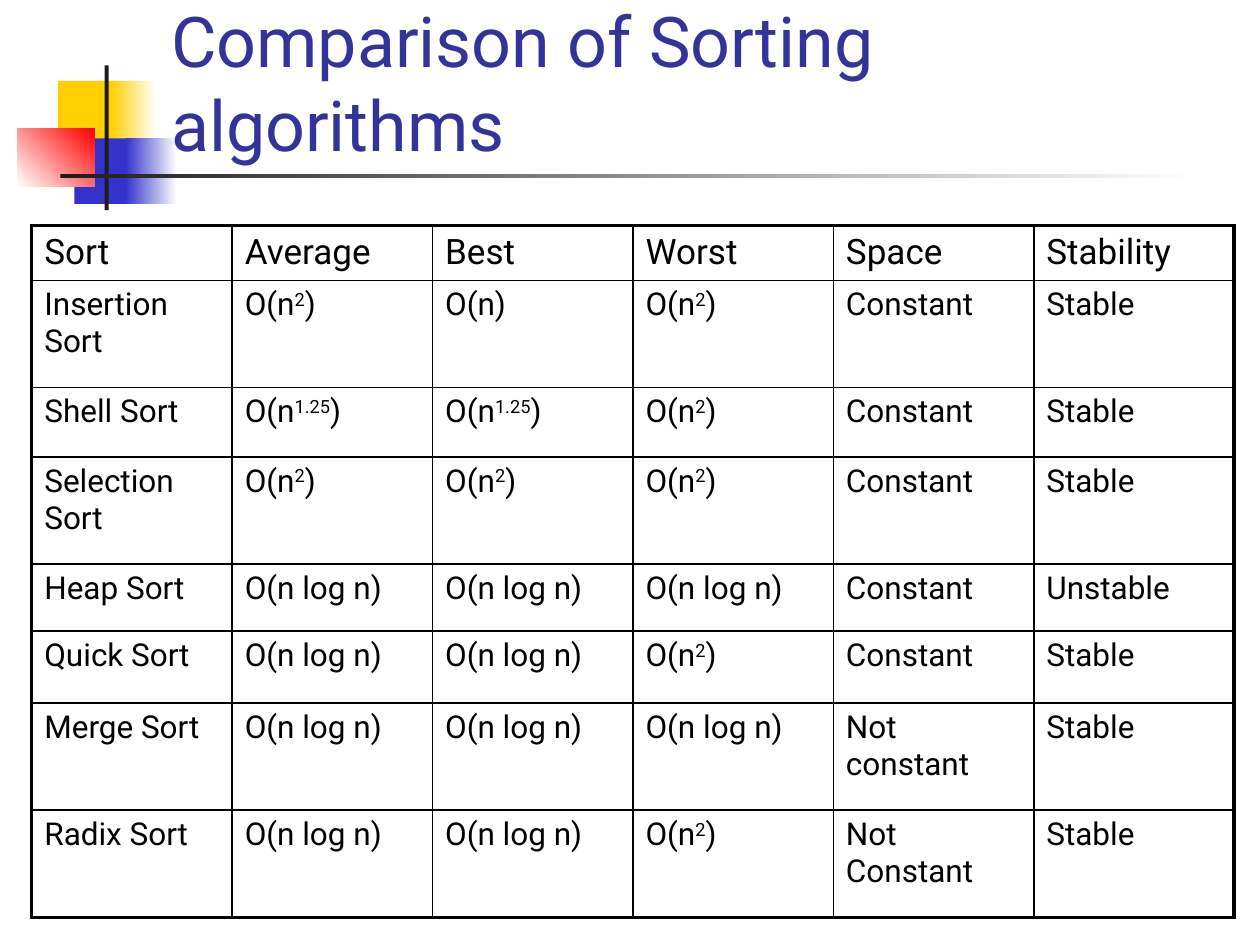
from lxml import etree
from pptx import Presentation
from pptx.dml.color import RGBColor
from pptx.enum.shapes import MSO_SHAPE
from pptx.enum.text import MSO_ANCHOR
from pptx.oxml.ns import qn
from pptx.util import Cm, Pt

RECTANGLE = MSO_SHAPE.RECTANGLE
BOTTOM = MSO_ANCHOR.BOTTOM

YELLOW = RGBColor(0xFF, 0xCF, 0x01)
BLUE = RGBColor(0x33, 0x33, 0xCC)
RED = RGBColor(0xFF, 0x00, 0x00)
CHARCOAL = RGBColor(0x1C, 0x1C, 0x1C)
WHITE = RGBColor(0xFF, 0xFF, 0xFF)
BLACK = RGBColor(0x00, 0x00, 0x00)
TITLE_BLUE = RGBColor(0x33, 0x33, 0x99)

FONT = "Roboto"
THIN, THICK = Pt(1), Pt(2.25)
COLUMN_WIDTH = 4.04
ROW_HEIGHTS = [1.09, 2.16, 1.4, 2.16, 1.35, 1.45, 2.16, 2.16]

LOG = "O(n log n)"
SQUARE = "O(n^2)"
SHELL = "O(n^1.25)"
SORTS = [
    ["Sort", "Average", "Best", "Worst", "Space", "Stability"],
    ["Insertion Sort", SQUARE, "O(n)", SQUARE, "Constant", "Stable"],
    ["Shell Sort", SHELL, SHELL, SQUARE, "Constant", "Stable"],
    ["Selection Sort", SQUARE, SQUARE, SQUARE, "Constant", "Stable"],
    ["Heap Sort", LOG, LOG, LOG, "Constant", "Unstable"],
    ["Quick Sort", LOG, LOG, SQUARE, "Constant", "Stable"],
    ["Merge Sort", LOG, LOG, LOG, "Not constant", "Stable"],
    ["Radix Sort", LOG, LOG, SQUARE, "Not Constant", "Stable"],
]


def add_block(slide, box, start, end=None, angle=0):
    block = slide.shapes.add_shape(RECTANGLE, *map(Cm, box))
    block.shadow.inherit = False
    block.line.fill.background()
    if end is None:
        block.fill.solid()
        block.fill.fore_color.rgb = start
        return
    block.fill.gradient()
    block.fill.gradient_angle = angle
    for stop, color in zip(block.fill.gradient_stops, (start, end)):
        stop.color.rgb = color


def add_ornament(slide):
    add_block(slide, (1.17, 1.63, 1.22, 1.32), YELLOW)
    add_block(slide, (2.24, 1.63, 0.91, 1.32), YELLOW, WHITE)
    add_block(slide, (1.5, 2.79, 1.17, 1.32), BLUE)
    add_block(slide, (2.54, 2.79, 1.02, 1.32), BLUE, WHITE)
    add_block(slide, (0.36, 2.59, 1.55, 1.17), WHITE, RED, angle=45)
    add_block(slide, (2.11, 1.32, 0.08, 2.92), CHARCOAL)
    add_block(slide, (1.22, 3.51, 22.86, 0.08), CHARCOAL, WHITE)


def set_font(paragraph, size, color):
    paragraph.font.name = FONT
    paragraph.font.size = Pt(size)
    paragraph.font.color.rgb = color


def add_title(slide, text):
    title = slide.shapes.add_textbox(Cm(3.2), Cm(0.28), Cm(21.64), Cm(3.18))
    frame = title.text_frame
    frame.word_wrap = True
    frame.vertical_anchor = BOTTOM
    frame.margin_right = Cm(0.5)
    paragraph = frame.paragraphs[0]
    paragraph.text = text
    set_font(paragraph, 40, TITLE_BLUE)


def write_term(paragraph, term):
    base, caret, power = term.partition("^")
    paragraph.add_run().text = base
    if caret:
        exponent = paragraph.add_run()
        exponent.text = power.rstrip(")")
        exponent.font._element.set("baseline", "30000")
        paragraph.add_run().text = ")"


def set_borders(cell, widths):
    properties = cell._tc.get_or_add_tcPr()
    for side, width in widths.items():
        line = etree.SubElement(properties, qn(f"a:ln{side}"), w=str(width))
        fill = etree.SubElement(line, qn("a:solidFill"))
        etree.SubElement(fill, qn("a:srgbClr"), val=str(BLACK))


def add_sort_table(slide):
    last_row, last_column = len(SORTS) - 1, len(SORTS[0]) - 1
    table = slide.shapes.add_table(
        last_row + 1, last_column + 1, Cm(0.64), Cm(4.55),
        Cm(COLUMN_WIDTH * (last_column + 1)), Cm(sum(ROW_HEIGHTS))).table
    table.first_row = False
    table.horz_banding = False
    for column in table.columns:
        column.width = Cm(COLUMN_WIDTH)
    for r, (height, terms) in enumerate(zip(ROW_HEIGHTS, SORTS)):
        table.rows[r].height = Cm(height)
        for c, term in enumerate(terms):
            cell = table.cell(r, c)
            set_borders(cell, {
                "L": THICK if c == 0 else THIN,
                "R": THICK if c == last_column else THIN,
                "T": THICK if r == 0 else THIN,
                "B": THICK if r == last_row else THIN,
            })
            cell.fill.background()
            paragraph = cell.text_frame.paragraphs[0]
            write_term(paragraph, term)
            set_font(paragraph, 20 if r == 0 else 18, BLACK)


def main():
    presentation = Presentation()
    presentation.slide_width = Cm(25.4)
    presentation.slide_height = Cm(19.05)
    slide = presentation.slides.add_slide(presentation.slide_layouts[6])
    add_ornament(slide)
    add_title(slide, "Comparison of Sorting algorithms")
    add_sort_table(slide)
    presentation.save("out.pptx")


if __name__ == "__main__":
    main()
